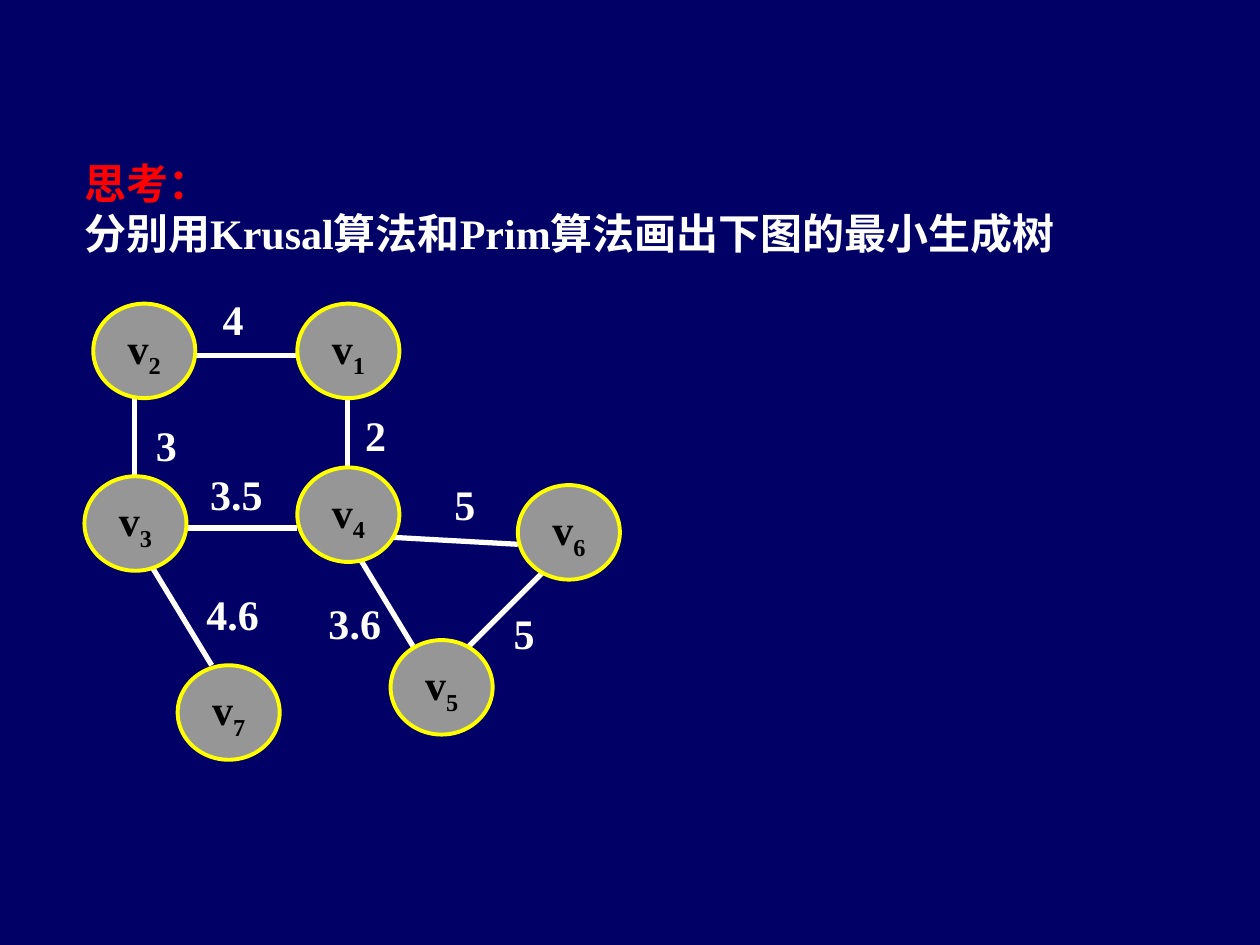
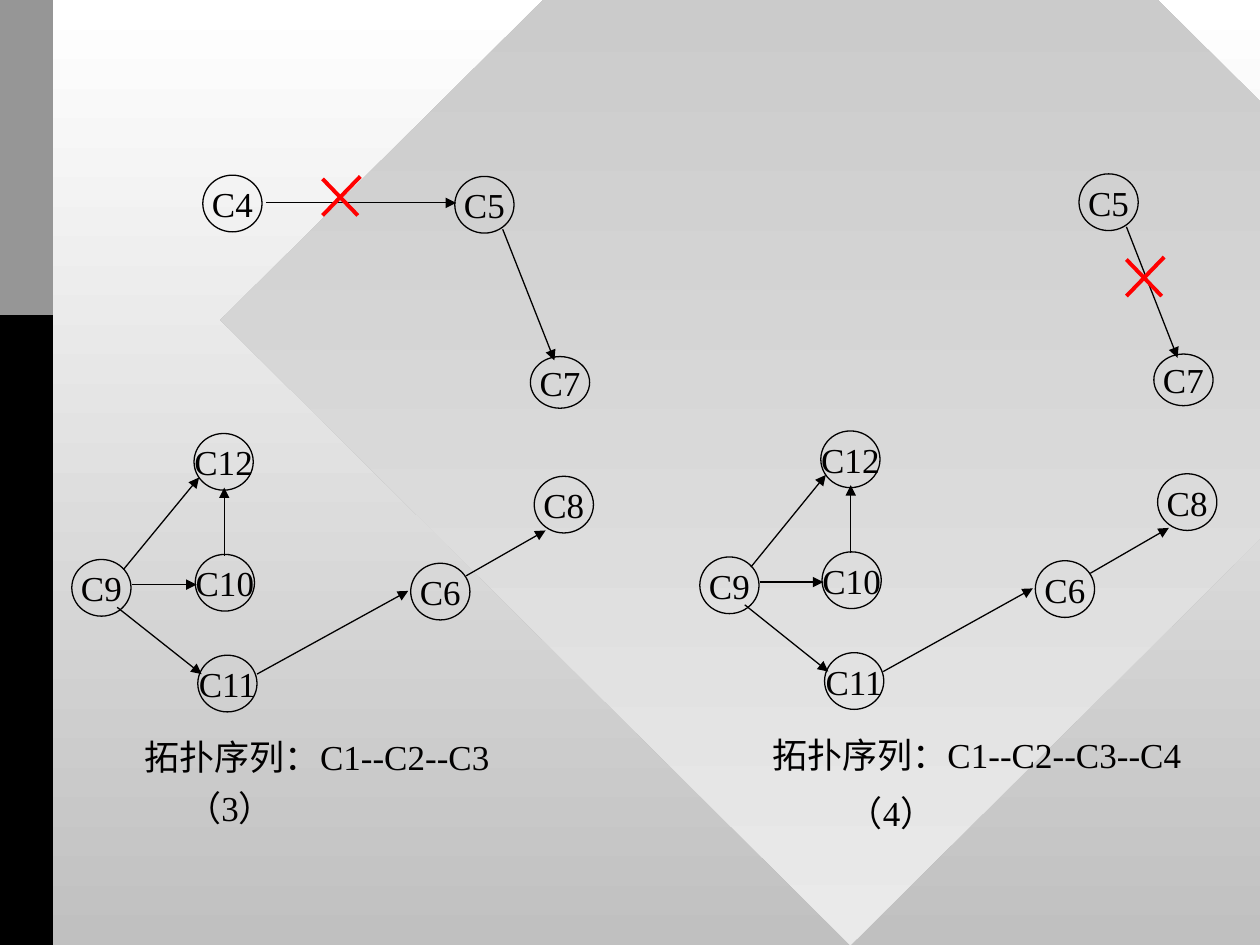
from dataclasses import dataclass
from typing import Callable, NamedTuple, Optional

from lxml.etree import SubElement
from pptx import Presentation
from pptx.dml.color import RGBColor
from pptx.dml.fill import FillFormat
from pptx.enum.shapes import MSO_CONNECTOR, MSO_SHAPE
from pptx.enum.text import MSO_ANCHOR, MSO_AUTO_SIZE, PP_ALIGN
from pptx.oxml.ns import qn
from pptx.shapes.autoshape import Shape
from pptx.slide import Slide
from pptx.text.text import _Paragraph
from pptx.util import Inches, Pt

FONT = "Times New Roman"
COLORS = {
    "navy": "000066",
    "white": "FFFFFF",
    "silver": "C0C0C0",
    "pale": "EAEAEA",
    "gray": "969696",
    "black": "000000",
    "ink": "010000",
    "yellow": "FFFF00",
    "red": "FF0000",
}


class Node(NamedTuple):
    name: str
    left: float
    top: float
    height: float = 0.45


class Edge(NamedTuple):
    x1: float
    y1: float
    x2: float
    y2: float


class Label(NamedTuple):
    text: str
    left: float
    top: float
    width: float


@dataclass(frozen=True)
class TextStyle:
    size: float
    color: str
    bold: bool = False
    align: PP_ALIGN = PP_ALIGN.LEFT


@dataclass(frozen=True)
class LineStyle:
    color: str
    width: float
    arrow: bool = False


@dataclass(frozen=True)
class NodeStyle:
    width: float
    fill: Optional[str]
    outline: LineStyle
    text: TextStyle


@dataclass(frozen=True)
class Stage:
    nodes: list[Node]
    edges: list[Edge]
    labels: list[Label]
    place_x: Callable[[float], float]
    shift_y: float


PROMPT_LINES = [("思考：", "red"), ("分别用Krusal算法和Prim算法画出下图的最小生成树", "white")]
WEIGHT_TEXT = TextStyle(24, "white", True, PP_ALIGN.CENTER)
TREE_EDGE = LineStyle("white", 3)
TREE_NODE = NodeStyle(0.81, "gray", LineStyle("yellow", 2.25),
                      TextStyle(24, "black", True, PP_ALIGN.CENTER))
STAGE_TEXT = TextStyle(20, "ink")
STAGE_EDGE = LineStyle("ink", 0.75, True)
STAGE_NODE = NodeStyle(0.47, None, LineStyle("ink", 0.75),
                       TextStyle(20, "ink", align=PP_ALIGN.CENTER))
CROSS_LINE = LineStyle("red", 2.25)

TREE_NODES = [
    Node("v1", 2.36, 2.41, 0.75),
    Node("v2", 0.74, 2.41, 0.75),
    Node("v3", 0.67, 3.78, 0.75),
    Node("v6", 4.11, 3.85, 0.75),
    Node("v5", 3.1, 5.08, 0.75),
    Node("v4", 2.36, 3.71, 0.75),
    Node("v7", 1.41, 5.28, 0.75),
]
TREE_EDGES = [
    Edge(1.14, 4.39, 1.68, 5.28),
    Edge(1.07, 3.09, 1.07, 3.85),
    Edge(2.83, 4.39, 3.37, 5.28),
    Edge(2.76, 3.78, 2.76, 3.16),
    Edge(4.32, 4.53, 3.64, 5.21),
    Edge(4.11, 4.32, 3.03, 4.26),
    Edge(2.36, 2.82, 1.55, 2.82),
    Edge(2.36, 4.19, 1.41, 4.19),
]
WEIGHTS = [
    Label("4", 1.66, 2.28, 0.38),
    Label("3", 1.13, 3.28, 0.38),
    Label("3.5", 1.55, 3.67, 0.65),
    Label("2", 2.79, 3.2, 0.38),
    Label("5", 3.5, 3.75, 0.38),
    Label("5", 3.97, 4.77, 0.38),
    Label("3.6", 2.49, 4.69, 0.65),
    Label("4.6", 1.52, 4.62, 0.65),
]

COURSES = [
    Node("C5", 3.61, 1.4),
    Node("C6", 3.26, 4.47),
    Node("C7", 4.21, 2.83, 0.41),
    Node("C8", 4.24, 3.78),
    Node("C9", 0.57, 4.44),
    Node("C10", 1.55, 4.4),
    Node("C11", 1.57, 5.2),
    Node("C12", 1.54, 3.44),
]
COURSE_EDGES = [
    Edge(3.99, 1.82, 4.4, 2.86),
    Edge(0.98, 4.52, 1.58, 3.79),
    Edge(1.05, 4.64, 1.56, 4.64),
    Edge(1.78, 4.41, 1.78, 3.87),
    Edge(0.93, 4.82, 1.6, 5.35),
    Edge(2.04, 5.35, 3.24, 4.69),
    Edge(3.7, 4.57, 4.33, 4.21),
]
STAGES = [
    Stage(
        [Node("C4", 1.61, 1.39), *COURSES],
        [Edge(2.11, 1.61, 3.62, 1.61), *COURSE_EDGES],
        [Label("拓扑序列：C1--C2--C3", 1.05, 5.79, 3.1), Label("（3）", 1.38, 6.19, 1.03)],
        lambda x: x, 0,
    ),
    Stage(
        COURSES,
        COURSE_EDGES,
        [Label("拓扑序列：C1--C2--C3--C4", 6.03, 5.77, 3.7), Label("（4）", 6.63, 6.23, 1.03)],
        lambda x: 4.99 + 0.99 * x, -0.02,
    ),
]
CROSS_STROKES = [Edge(0, 0.02, 0.28, 0.31), Edge(0.3, 0, 0, 0.31)]
CROSS_CORNERS = [(2.56, 1.4), (8.94, 2.04)]


def color(name: str) -> RGBColor:
    return RGBColor.from_string(COLORS[name])


def fill_solid(fill: FillFormat, name: str) -> None:
    fill.solid()
    fill.fore_color.rgb = color(name)


def fill_downward(fill: FillFormat, first: str, last: str) -> None:
    fill.gradient()
    fill.gradient_angle = 270
    for stop, name in zip(fill.gradient_stops, (first, last)):
        stop.color.rgb = color(name)


def style_paragraph(para: _Paragraph, style: TextStyle) -> None:
    para.alignment = style.align
    para.font.name = FONT
    para.font.size = Pt(style.size)
    para.font.bold = style.bold
    para.font.color.rgb = color(style.color)


def add_text(page: Slide, label: Label, style: TextStyle) -> Shape:
    box = page.shapes.add_textbox(
        Inches(label.left), Inches(label.top), Inches(label.width), Inches(0.45))
    frame = box.text_frame
    frame.word_wrap = False
    frame.auto_size = MSO_AUTO_SIZE.SHAPE_TO_FIT_TEXT
    frame.text = label.text
    style_paragraph(frame.paragraphs[0], style)
    return box


def add_edge(page: Slide, edge: Edge, style: LineStyle) -> None:
    connector = page.shapes.add_connector(
        MSO_CONNECTOR.STRAIGHT, *(Inches(value) for value in edge))
    connector.line.color.rgb = color(style.color)
    connector.line.width = Pt(style.width)
    if style.arrow:
        SubElement(connector.line._get_or_add_ln(), qn("a:tailEnd"), type="triangle")
    SubElement(connector._element.spPr, qn("a:effectLst"))


def add_plain_shape(page: Slide, kind: MSO_SHAPE, left: float, top: float,
                    width: float, height: float) -> Shape:
    shape = page.shapes.add_shape(
        kind, Inches(left), Inches(top), Inches(width), Inches(height))
    shape.shadow.inherit = False
    shape.line.fill.background()
    return shape


def add_node(page: Slide, node: Node, style: NodeStyle) -> _Paragraph:
    circle = add_plain_shape(
        page, MSO_SHAPE.OVAL, node.left, node.top, style.width, node.height)
    if style.fill:
        fill_solid(circle.fill, style.fill)
    else:
        circle.fill.background()
    circle.line.color.rgb = color(style.outline.color)
    circle.line.width = Pt(style.outline.width)
    frame = circle.text_frame
    frame.word_wrap = False
    frame.vertical_anchor = MSO_ANCHOR.MIDDLE
    para = frame.paragraphs[0]
    style_paragraph(para, style.text)
    return para


def build_spanning_tree(page: Slide) -> None:
    fill_solid(page.background.fill, "navy")
    (heading, heading_color), (task, task_color) = PROMPT_LINES
    prompt = add_text(page, Label(heading, 0.57, 1.2, 8.3), TextStyle(24, heading_color, True))
    prompt.height = Inches(0.9)
    para = prompt.text_frame.add_paragraph()
    para.text = task
    style_paragraph(para, TextStyle(24, task_color, True))
    for edge in TREE_EDGES:
        add_edge(page, edge, TREE_EDGE)
    for node in TREE_NODES:
        para = add_node(page, node, TREE_NODE)
        para.add_run().text = node.name[0]
        index = para.add_run()
        index.text = node.name[1:]
        index._r.get_or_add_rPr().set("baseline", "-25000")
    for weight in WEIGHTS:
        add_text(page, weight, WEIGHT_TEXT)


def add_backdrop(page: Slide) -> None:
    fill_downward(page.background.fill, "white", "silver")
    diamond = add_plain_shape(page, MSO_SHAPE.DIAMOND, 1.75, -2.42, 10, 9.92)
    fill_downward(diamond.fill, "silver", "pale")
    for height, name in ((7.5, "black"), (2.5, "gray")):
        band = add_plain_shape(page, MSO_SHAPE.RECTANGLE, 0, 0, 0.42, height)
        fill_solid(band.fill, name)


def add_stage(page: Slide, stage: Stage) -> None:
    for node in stage.nodes:
        placed = node._replace(left=stage.place_x(node.left), top=node.top + stage.shift_y)
        add_node(page, placed, STAGE_NODE).add_run().text = node.name
    for edge in stage.edges:
        add_edge(page, Edge(stage.place_x(edge.x1), edge.y1 + stage.shift_y,
                            stage.place_x(edge.x2), edge.y2 + stage.shift_y), STAGE_EDGE)
    for label in stage.labels:
        add_text(page, label, STAGE_TEXT)


def build_topological_sort(page: Slide) -> None:
    add_backdrop(page)
    for stage in STAGES:
        add_stage(page, stage)
    for left, top in CROSS_CORNERS:
        for stroke in CROSS_STROKES:
            add_edge(page, Edge(left + stroke.x1, top + stroke.y1,
                                left + stroke.x2, top + stroke.y2), CROSS_LINE)


def main() -> None:
    deck = Presentation()
    deck.slide_width, deck.slide_height = Inches(10), Inches(7.5)
    for build in (build_spanning_tree, build_topological_sort):
        build(deck.slides.add_slide(deck.slide_layouts[6]))
    deck.save("out.pptx")


if __name__ == "__main__":
    main()
